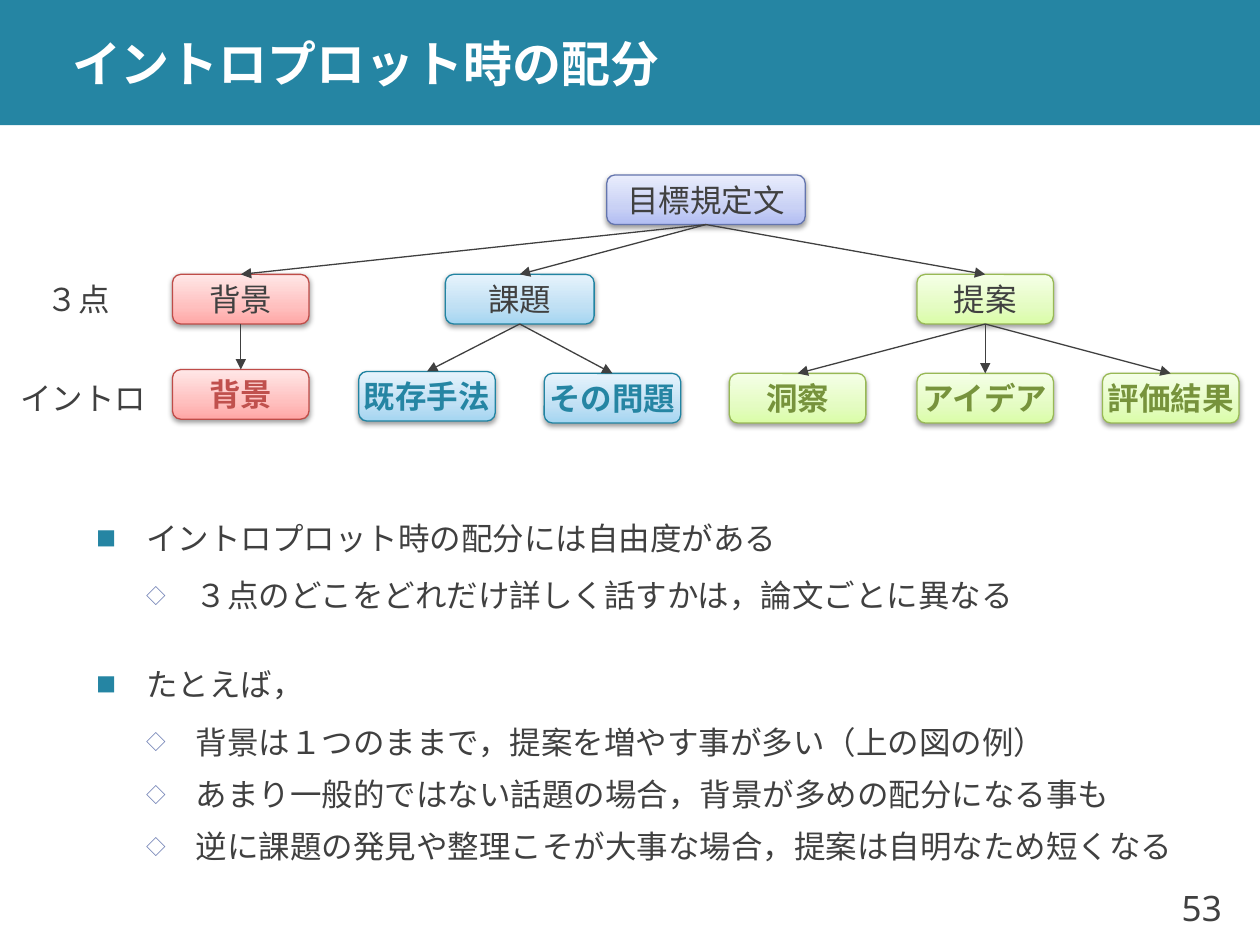
from copy import deepcopy
from dataclasses import dataclass

from lxml.etree import SubElement
from pptx import Presentation
from pptx.dml.color import RGBColor
from pptx.enum.shapes import MSO_CONNECTOR, MSO_SHAPE
from pptx.enum.text import MSO_ANCHOR, MSO_AUTO_SIZE, PP_ALIGN
from pptx.oxml.ns import qn
from pptx.util import Pt


@dataclass(frozen=True)
class Theme:
    accent: str = "2585A3"
    ink: str = "404040"
    white: str = "FFFFFF"
    diamond: str = "6879B0"
    latin: str = "Noto Sans"
    japanese: str = "Noto Sans CJK JP"
    title_size: int = 28
    number_size: int = 20
    text_size: int = 18


theme = Theme()

# Gradient from bottom to top, outline, colour of the bold text
palettes = {
    "goal": (("B1BDF2", "C9D1F5", "E9EDFC"), "6475AE", theme.ink),
    "background": (("FFA6A5", "FFC0BF", "FFE7E7"), "BF4C48", "C0504D"),
    "problem": (("A4D5F1", "C0E0F4", "E6F3FC"), "2184A2", theme.accent),
    "proposal": (("DAFDA7", "E4FCC2", "F5FFE7"), "98B955", "77933C"),
}


def write(paragraph, text, size=theme.text_size, color=theme.ink,
          bold=False, align=PP_ALIGN.LEFT, latin=theme.latin):
    """Fill a paragraph with text in one format."""
    paragraph.text = text
    paragraph.alignment = align
    font = paragraph.font
    font.size, font.bold, font.name = Pt(size), bold, latin
    font.color.rgb = RGBColor.from_string(color)
    defaults = paragraph._p.pPr.find(qn("a:defRPr"))
    SubElement(defaults, qn("a:ea"), typeface=theme.japanese)


def add_node(text, center, top, width, palette, bold):
    """Draw one shaded box of the tree, centred on a horizontal position."""
    stops, outline, strong = palettes[palette]
    node = slide.shapes.add_shape(MSO_SHAPE.ROUNDED_RECTANGLE, Pt(center - width / 2),
                                  Pt(top), Pt(width), Pt(node_height))
    node.fill.gradient()
    node.fill.gradient_angle = 90
    first_stop = node.element.xpath(".//a:gs")[0]
    first_stop.addnext(deepcopy(first_stop))
    for stop, position, color in zip(node.fill.gradient_stops, (0, 0.35, 1), stops):
        stop.position = position
        stop.color.rgb = RGBColor.from_string(color)
    node.line.color.rgb = RGBColor.from_string(outline)
    node.line.width = Pt(0.75)

    node.shadow.inherit = False
    effects = node.element.spPr.find(qn("a:effectLst"))
    shadow = SubElement(effects, qn("a:outerShdw"), blurRad=str(Pt(3.1)),
                        dist=str(Pt(1.6)), dir="5400000", rotWithShape="0")
    black = SubElement(shadow, qn("a:srgbClr"), val="000000")
    SubElement(black, qn("a:alpha"), val="38000")

    frame = node.text_frame
    frame.word_wrap = False
    frame.vertical_anchor = MSO_ANCHOR.MIDDLE
    write(frame.paragraphs[0], text, color=strong if bold else theme.ink, bold=bold,
          align=PP_ALIGN.CENTER, latin=theme.japanese)
    return node


presentation = Presentation()
presentation.slide_width, presentation.slide_height = Pt(720), Pt(540)
slide = presentation.slides.add_slide(presentation.slide_layouts[5])

# Title on its band
title = slide.shapes.title
title.left, title.top, title.width, title.height = Pt(34), Pt(0), Pt(686), Pt(71.5)
title_frame = title.text_frame
title_frame.auto_size = MSO_AUTO_SIZE.NONE
title_frame.word_wrap = True
title_frame.vertical_anchor = MSO_ANCHOR.MIDDLE
title_frame.margin_top = title_frame.margin_bottom = Pt(0)
write(title_frame.paragraphs[0], "イントロプロット時の配分", theme.title_size,
      theme.white, bold=True)

band = slide.shapes.add_shape(MSO_SHAPE.RECTANGLE, Pt(0), Pt(0), Pt(720), Pt(71.5))
band.fill.solid()
band.fill.fore_color.rgb = RGBColor.from_string(theme.accent)
band.line.fill.background()
band.shadow.inherit = False
title.element.addprevious(band.element)

# Explanation: level and text
body = slide.shapes.add_textbox(Pt(48.2), Pt(277.2), Pt(652.3), Pt(234))
body_frame = body.text_frame
body_frame.word_wrap = True
body_frame.vertical_anchor = MSO_ANCHOR.MIDDLE
points = [
    (0, "イントロプロット時の配分には自由度がある"),
    (1, "３点のどこをどれだけ詳しく話すかは，論文ごとに異なる"),
    (0, "たとえば，"),
    (1, "背景は１つのままで，提案を増やす事が多い（上の図の例）"),
    (1, "あまり一般的ではない話題の場合，背景が多めの配分になる事も"),
    (1, "逆に課題の発見や整理こそが大事な場合，提案は自明なため短くなる"),
]
# Bullet, its colour, its size, space before and after
levels = [("■", theme.accent, 64, 24, 6), ("◇", theme.diamond, 62, 3, 3)]
indent = 28.35
for index, (level, text) in enumerate(points):
    bullet, bullet_color, bullet_size, before, after = levels[level]
    point = body_frame.paragraphs[0] if index == 0 else body_frame.add_paragraph()
    point.level = level
    point.line_spacing = 1.1
    point.space_before, point.space_after = Pt(before), Pt(after)
    properties = point._p.get_or_add_pPr()
    properties.set("marL", str(Pt(indent * (level + 1))))
    properties.set("indent", str(-Pt(indent)))
    color = SubElement(properties, qn("a:buClr"))
    SubElement(color, qn("a:srgbClr"), val=bullet_color)
    SubElement(properties, qn("a:buSzPct"), val=str(bullet_size * 1000))
    SubElement(properties, qn("a:buFont"), typeface=theme.japanese)
    SubElement(properties, qn("a:buChar"), char=bullet)
    write(point, text)

# Tree: branches with their centre and width, leaves with centre and top
node_height = 28.35
leaf_width = 78
branch_top = 156.8
leaf_top = 213.4
branches = [
    ("背景", 137.6, leaf_width, "background", [("背景", 137.6, 211.2)]),
    ("課題", 297, 85, "problem", [("既存手法", 244, 212.3), ("その問題", 350, leaf_top)]),
    ("提案", 563, leaf_width, "proposal",
     [("洞察", 455.8, leaf_top), ("アイデア", 563, leaf_top), ("評価結果", 669, leaf_top)]),
]
goal = add_node("目標規定文", 403.4, 100, 113.4, "goal", False)
links = []
for text, center, width, palette, leaves in branches:
    branch = add_node(text, center, branch_top, width, palette, False)
    links.append((goal, branch))
    for leaf_text, leaf_center, top in leaves:
        leaf = add_node(leaf_text, leaf_center, top, leaf_width, palette, True)
        links.append((branch, leaf))

bottom_site, top_site = 2, 0
for parent, child in links:
    arrow = slide.shapes.add_connector(MSO_CONNECTOR.STRAIGHT, 0, 0, 0, 0)
    arrow.begin_connect(parent, bottom_site)
    arrow.end_connect(child, top_site)
    arrow.line.color.rgb = RGBColor.from_string(theme.ink)
    arrow.line.width = Pt(0.75)
    SubElement(arrow.element.spPr.find(qn("a:ln")), qn("a:tailEnd"), type="triangle")
    SubElement(arrow.element.spPr, qn("a:effectLst"))

# Row labels and page number
captions = [
    ("３点", 2.2, branch_top, 85, node_height, theme.text_size,
     PP_ALIGN.CENTER, theme.japanese),
    ("イントロ", 5, leaf_top, 85, node_height, theme.text_size,
     PP_ALIGN.CENTER, theme.japanese),
    ("53", 657.4, 497, 40.8, 43, theme.number_size, PP_ALIGN.RIGHT, theme.latin),
]
for text, left, top, width, height, size, align, latin in captions:
    caption = slide.shapes.add_textbox(Pt(left), Pt(top), Pt(width), Pt(height))
    caption_frame = caption.text_frame
    caption_frame.auto_size = MSO_AUTO_SIZE.NONE
    caption_frame.word_wrap = False
    caption_frame.margin_left = caption_frame.margin_right = Pt(0)
    caption_frame.vertical_anchor = MSO_ANCHOR.MIDDLE
    write(caption_frame.paragraphs[0], text, size, align=align, latin=latin)

presentation.save("out.pptx")
